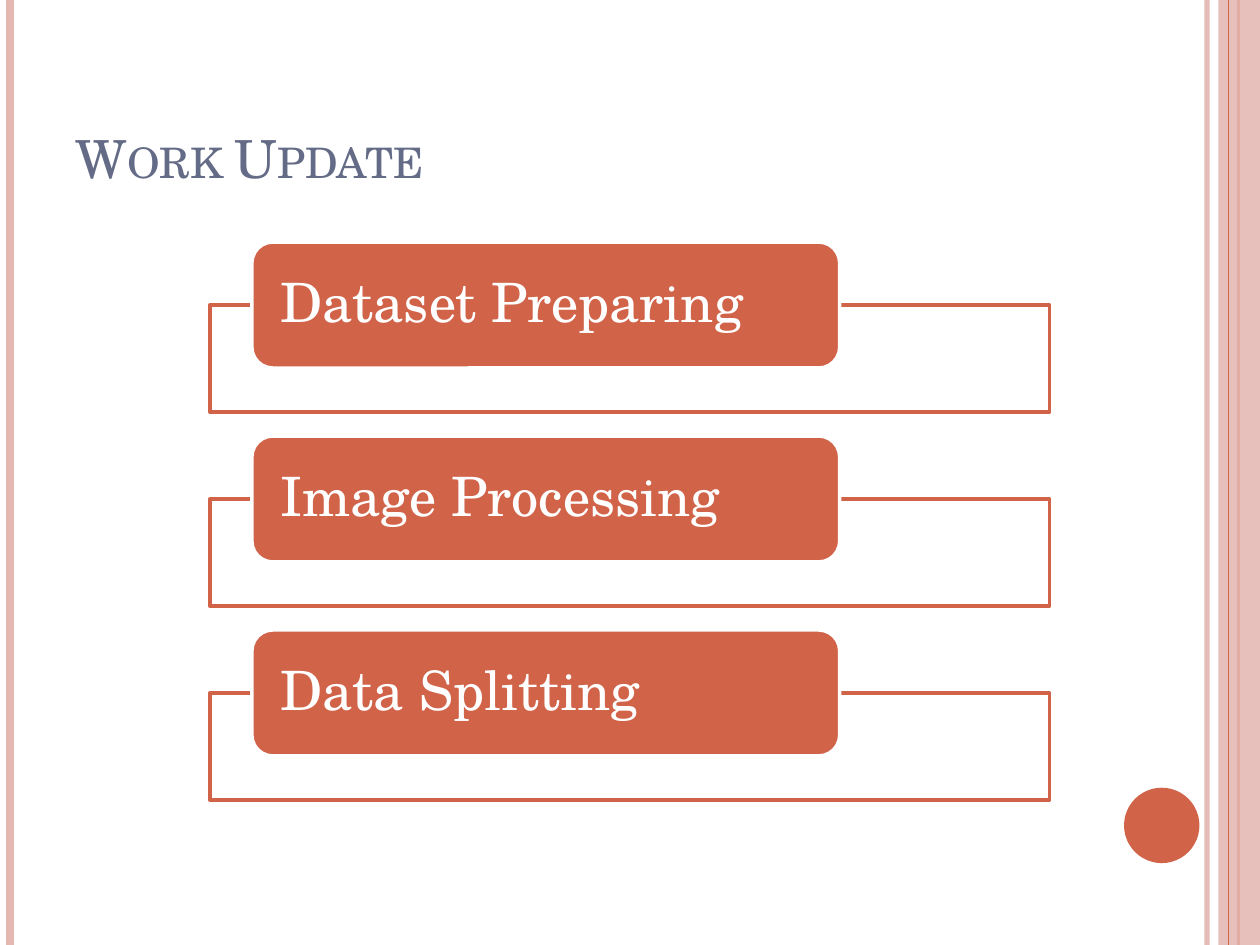
from dataclasses import dataclass
from lxml.etree import SubElement as Sub
from pptx import Presentation
from pptx.dml.color import RGBColor as RGB
from pptx.enum.shapes import MSO_CONNECTOR as Conn, MSO_SHAPE as Shape
from pptx.enum.text import MSO_ANCHOR as Anchor, PP_ALIGN as Align
from pptx.oxml.ns import qn
from pptx.util import Cm, Pt


@dataclass(frozen=True)
class Theme:
    """Colours, font and type sizes of the deck."""
    rust: RGB = RGB(0xD1, 0x63, 0x49)
    pink: RGB = RGB(0xE5, 0xB7, 0xB1)
    slate: RGB = RGB(0x64, 0x6B, 0x86)
    white: RGB = RGB(0xFF, 0xFF, 0xFF)
    font: str = "TeX Gyre Schola"
    head: int = 30
    item: int = 31


theme = Theme()
WIDE, HIGH = 25.4, 19.05


def fade(fill, part):
    """Set the opacity, in percent, of a solid fill inside an element."""
    tint = next(fill.iter(qn("a:srgbClr")))
    Sub(tint, qn("a:alpha"), val=str(part * 1000))


def block(slide, kind, box, fill, line=None, part=100):
    """Draw a filled shape in box, with an outline if line is given."""
    shape = slide.shapes.add_shape(kind, *map(Cm, box))
    shape.shadow.inherit = False
    shape.fill.solid()
    shape.fill.fore_color.rgb = fill
    if part < 100:
        fade(shape.element.spPr, part)
    if line is None:
        shape.line.fill.background()
    else:
        shape.line.color.rgb = line
        shape.line.width = Pt(2)
    return shape


def rule(slide, x, color, width, part=100):
    """Draw a line down the full height of the slide at x."""
    line = slide.shapes.add_connector(Conn.STRAIGHT, Cm(x), 0, Cm(x), Cm(HIGH))
    line.line.color.rgb = color
    line.line.width = Pt(width)
    props = line.element.spPr
    if part < 100:
        fade(props, part)
    Sub(props, qn("a:effectLst"))


def write(frame, text, size, color):
    """Add one left-aligned run to the first paragraph of a frame."""
    para = frame.paragraphs[0]
    para.alignment = Align.LEFT
    run = para.add_run()
    run.text = text
    run.font.name = theme.font
    run.font.size = Pt(size)
    run.font.color.rgb = color
    return run


def edges(slide):
    """Draw the side stripes and the round badge."""
    rule(slide, 24.33, theme.pink, 3, 93)
    rule(slide, 0.2, theme.pink, 4.5)
    rule(slide, 24.97, theme.rust, 1.5)
    band = 0.84
    block(slide, Shape.RECTANGLE, (WIDE - band, 0, band, HIGH), theme.pink, part=87)
    rule(slide, 24.77, theme.rust, 0.75)
    block(slide, Shape.OVAL, (22.66, 15.88, 1.52, 1.52), theme.rust)


def title(slide, box, text):
    """Place the title in small capitals at the foot of box."""
    head = slide.shapes.title
    head.left, head.top, head.width, head.height = map(Cm, box)
    frame = head.text_frame
    frame.vertical_anchor = Anchor.BOTTOM
    run = write(frame, text, theme.head, theme.slate)
    run.font._element.set("cap", "small")


def step(slide, box, text):
    """Draw an open frame in the lower part of box, with a label above it."""
    x, y, w, h = box
    tall = 2.54
    mid = tall / 2
    block(slide, Shape.RECTANGLE, (x, y + mid, w, h - mid), theme.white, theme.rust, 90)
    label = block(slide, Shape.ROUNDED_RECTANGLE, (x + w * 0.05, y, w * 0.7, tall),
                  theme.rust, theme.white)
    frame = label.text_frame
    frame.word_wrap = True
    frame.vertical_anchor = Anchor.MIDDLE
    frame.margin_left = frame.margin_right = Cm(0.45)
    frame.margin_top = frame.margin_bottom = 0
    frame.paragraphs[0].line_spacing = 0.9
    write(frame, text, theme.item, theme.white)


def steps(slide, box, names):
    """Stack one step for each name at equal gaps down box."""
    x, y, w, h = box
    gap = 0.48
    each = (h - gap * (len(names) - 1)) / len(names)
    for i, name in enumerate(names):
        step(slide, (x, y + i * (each + gap), w, each), name)


deck = Presentation()
deck.slide_width, deck.slide_height = Cm(WIDE), Cm(HIGH)
page = deck.slides.add_slide(deck.slide_layouts[5])
edges(page)
title(page, (1.27, 0.76, 20.75, 3.18), "Work Update")
steps(page, (4.23, 4.88, 16.93, 11.25),
      ["Dataset Preparing", "Image Processing", "Data Splitting"])
deck.save("out.pptx")
